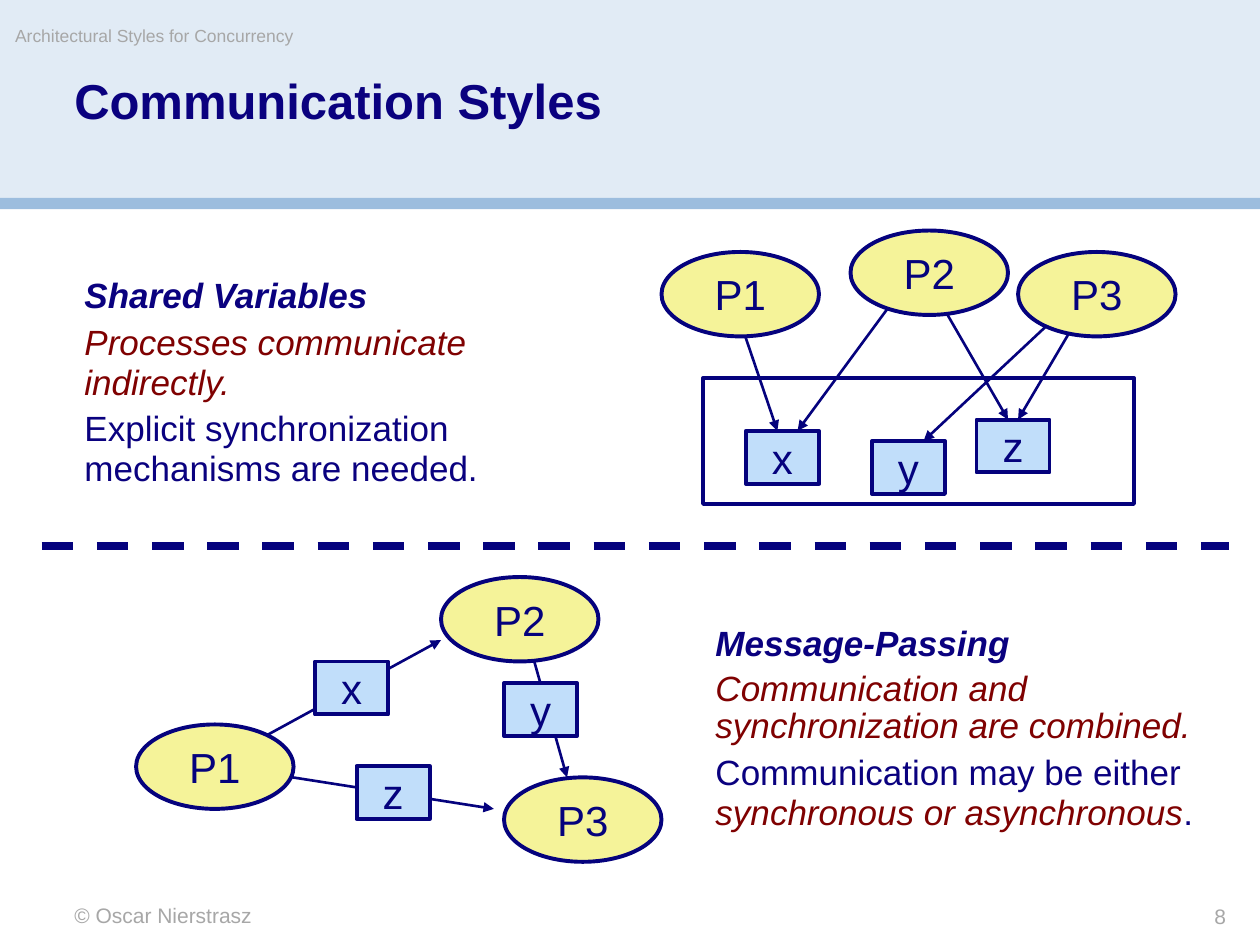
from lxml import etree
from pptx import Presentation
from pptx.dml.color import RGBColor
from pptx.enum.dml import MSO_LINE
from pptx.enum.shapes import MSO_CONNECTOR, MSO_SHAPE
from pptx.enum.text import MSO_ANCHOR, PP_ALIGN
from pptx.oxml.ns import qn
from pptx.util import Inches, Pt

RECT, OVAL = MSO_SHAPE.RECTANGLE, MSO_SHAPE.OVAL
STRAIGHT, DASH = MSO_CONNECTOR.STRAIGHT, MSO_LINE.DASH
TOP, MIDDLE = MSO_ANCHOR.TOP, MSO_ANCHOR.MIDDLE
LEFT, CENTER, RIGHT = PP_ALIGN.LEFT, PP_ALIGN.CENTER, PP_ALIGN.RIGHT
FONT = "Arial"
INK, NAVY, RED, GREY = "05027D", "0A017F", "7F0101", "A7A7A7"
BLUE, YELLOW, PALE, BAND = "C1DEFA", "F5F399", "E1EBF5", "9CBDDE"


def color(code):
    """Turn a hex string into a colour."""
    return RGBColor.from_string(code)


def style(font, size, code, bold=False, italic=False):
    """Set the look of a font."""
    font.name, font.size = FONT, Pt(size)
    font.bold, font.italic = bold, italic
    font.color.rgb = color(code)


def add_box(shapes, kind, place, fill=None, line=None):
    """Add a flat preset shape with an optional fill and outline."""
    box = shapes.add_shape(kind, *map(Inches, place))
    box.shadow.inherit = False
    if fill:
        box.fill.solid()
        box.fill.fore_color.rgb = color(fill)
    else:
        box.fill.background()
    if line:
        box.line.color.rgb = color(line)
        box.line.width = Pt(2.25)
    else:
        box.line.fill.background()
    return box


def add_node(shapes, kind, name, left, top):
    """Add a process oval or a variable box with its name."""
    size, fill = ((1.25, 0.67), YELLOW) if kind == OVAL else ((0.58, 0.42), BLUE)
    node = add_box(shapes, kind, (left, top, *size), fill, INK)
    frame = node.text_frame
    frame.word_wrap = False
    frame.vertical_anchor = MIDDLE
    frame.text = name
    para = frame.paragraphs[0]
    para.alignment = CENTER
    style(para.runs[0].font, 24, INK)


def add_line(shapes, ends, width):
    """Add a straight line without shadow."""
    line = shapes.add_connector(STRAIGHT, *map(Inches, ends))
    line.line.color.rgb = color(INK)
    line.line.width = Pt(width)
    etree.SubElement(line._element.spPr, qn("a:effectLst"))
    return line


def add_arrow(shapes, *ends):
    """Add a line with a triangle at its end."""
    arrow = add_line(shapes, ends, 1.5)
    etree.SubElement(arrow.line._get_or_add_ln(), qn("a:tailEnd"), type="triangle")


def add_frame(slide, place, inset=0, anchor=TOP, wrap=True):
    """Add an empty text box and return its frame."""
    frame = slide.shapes.add_textbox(*map(Inches, place)).text_frame
    frame.word_wrap = wrap
    frame.vertical_anchor = anchor
    frame.margin_left = frame.margin_right = Inches(inset)
    frame.margin_top = frame.margin_bottom = Inches(inset / 2)
    return frame


def add_label(slide, text, place, size, code=GREY, bold=False, align=LEFT, wrap=True):
    """Add a one-line text."""
    frame = add_frame(slide, place, wrap=wrap)
    frame.text = text
    para = frame.paragraphs[0]
    para.alignment = align
    style(para.runs[0].font, size, code, bold)
    return para


def add_body(frame, paras):
    """Fill a frame from pairs of line spacing and runs."""
    for i, (spacing, runs) in enumerate(paras):
        para = frame.add_paragraph() if i else frame.paragraphs[0]
        para.line_spacing = spacing
        para.space_before = Pt(4 if i else 0)
        for text, code, bold, italic in runs:
            run = para.add_run()
            run.text = text
            style(run.font, 20, code, bold, italic)


def add_shared(slide):
    """Draw processes that share variables."""
    shapes = slide.shapes.add_group_shape().shapes
    add_box(shapes, RECT, (5.58, 3, 3.42, 1), line=INK)
    for name, left, top in (("x", 5.92, 3.42), ("z", 7.75, 3.33), ("y", 6.92, 3.5)):
        add_node(shapes, RECT, name, left, top)
    for ends in ((5.83, 2.42, 6.17, 3.42), (7.33, 2.17, 8, 3.33),
                 (7.25, 2.17, 6.33, 3.42), (8.58, 2.33, 7.33, 3.5),
                 (8.67, 2.33, 8.08, 3.33)):
        add_arrow(shapes, *ends)
    for name, left, top in (("P1", 5.25, 2), ("P2", 6.75, 1.83), ("P3", 8.08, 2)):
        add_node(shapes, OVAL, name, left, top)


def add_passing(slide):
    """Draw processes that pass messages."""
    shapes = slide.shapes.add_group_shape().shapes
    for ends in ((1.67, 6.08, 3.5, 5.08), (4.17, 5, 4.5, 6.17),
                 (1.75, 6.08, 3.92, 6.42)):
        add_arrow(shapes, *ends)
    for name, left, top in (("P1", 1.08, 5.75), ("P2", 3.5, 4.58), ("P3", 4, 6.17)):
        add_node(shapes, OVAL, name, left, top)
    for name, left, top in (("x", 2.5, 5.25), ("y", 4, 5.42), ("z", 2.83, 6.08)):
        add_node(shapes, RECT, name, left, top)


def main():
    """Build and save the slide."""
    deck = Presentation()
    deck.slide_width, deck.slide_height = Inches(10), Inches(7.5)
    slide = deck.slides.add_slide(deck.slide_layouts[6])
    add_box(slide.shapes, RECT, (0, 0, 10, 1.58), PALE)
    add_box(slide.shapes, RECT, (0, 1.57, 10, 0.09), BAND)
    add_label(slide, "© Oscar Nierstrasz", (0.59, 7.16, 4.17, 0.2), 12)
    add_label(slide, "Architectural Styles for Concurrency",
              (0.12, 0.2, 5.9, 0.28), 10, wrap=False)
    add_label(slide, "8", (8.25, 7.17, 1.48, 0.2), 12, align=RIGHT)
    title = add_label(slide, "Communication Styles", (0.59, 0.61, 8.83, 0.89),
                      28, NAVY, bold=True)
    title.line_spacing = 0.9
    add_body(add_frame(slide, (0.67, 2.08, 3.92, 1.92), anchor=MIDDLE), (
        (0.95, [("Shared Variables", NAVY, True, True)]),
        (0.95, [("Processes communicate indirectly.", RED, False, True)]),
        (0.95, [("Explicit synchronization mechanisms are needed.",
                 NAVY, False, False)]),
    ))
    add_body(add_frame(slide, (5.58, 4.92, 4.25, 1.83), inset=0.1), (
        (0.9, [("Message-Passing", NAVY, True, True)]),
        (0.9, [("Communication and synchronization are combined.",
                RED, False, True)]),
        (0.95, [("Communication may be either ", NAVY, False, False),
                ("synchronous or asynchronous", RED, False, True),
                (".", NAVY, False, False)]),
    ))
    add_shared(slide)
    add_passing(slide)
    add_line(slide.shapes, (0.33, 4.33, 9.75, 4.33), 4.5).line.dash_style = DASH
    deck.save("out.pptx")


if __name__ == "__main__":
    main()
